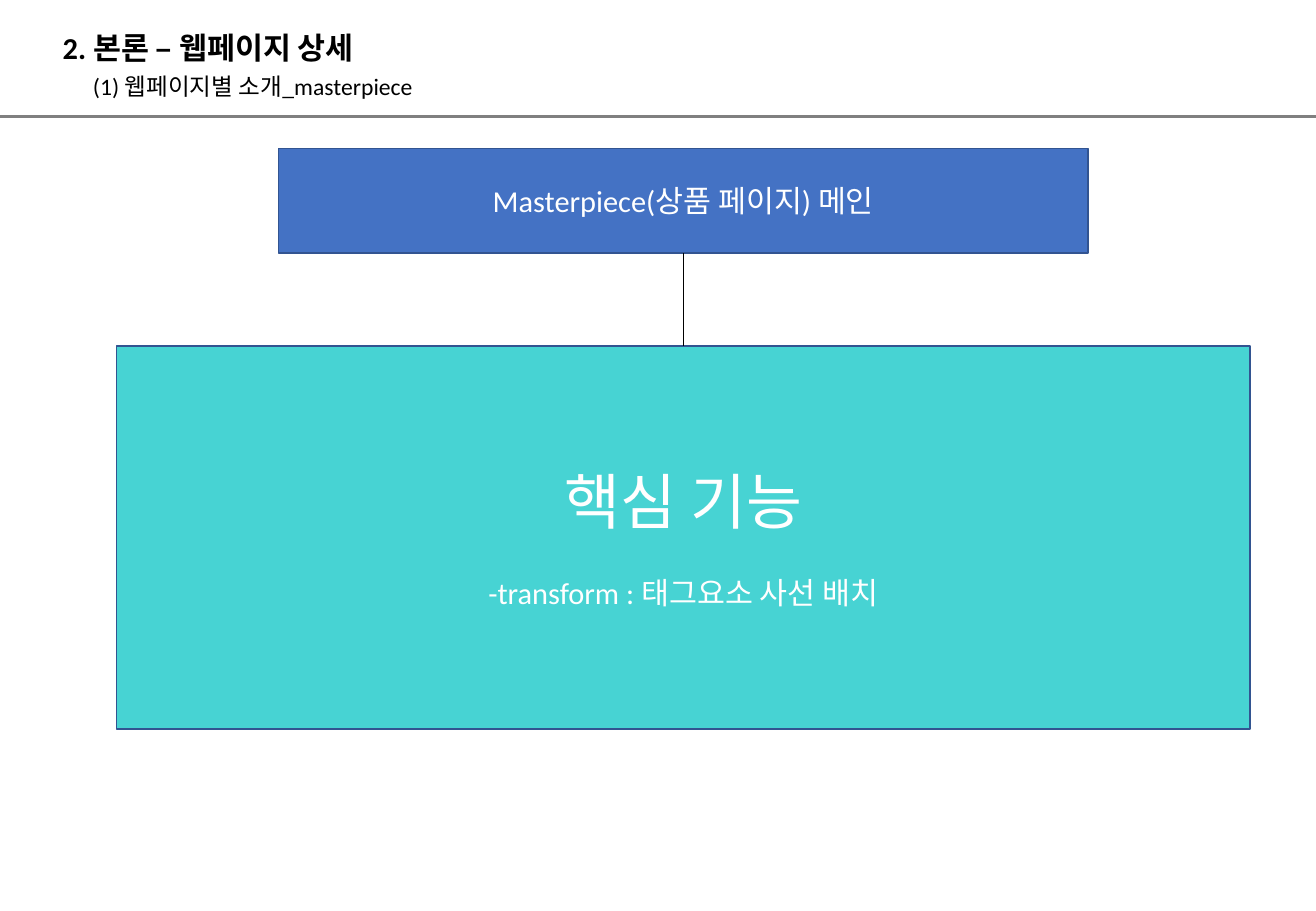
from dataclasses import dataclass

from lxml.etree import SubElement
from pptx import Presentation
from pptx.dml.color import RGBColor
from pptx.enum.shapes import MSO_CONNECTOR, MSO_SHAPE
from pptx.enum.text import MSO_ANCHOR, MSO_AUTO_SIZE, PP_ALIGN
from pptx.oxml.ns import qn
from pptx.shapes.autoshape import Shape
from pptx.shapes.connector import Connector
from pptx.slide import Slide
from pptx.util import Pt

FONT = "Calibri"
BLACK = "000000"
WHITE = "FFFFFF"
GRAY = "808080"
OUTLINE = "325491"


@dataclass(frozen=True)
class TextLine:
    """One paragraph of text with its size and the gap above it."""
    text: str
    size: float
    bold: bool = False
    space_before: float = 0


@dataclass(frozen=True)
class Area:
    """A rectangle on the slide, in points."""
    left: float
    top: float
    width: float
    height: float


@dataclass(frozen=True)
class Block:
    """A filled rectangle with centred lines of text."""
    area: Area
    fill: str
    lines: tuple[TextLine, ...]


SLIDE_WIDTH, SLIDE_HEIGHT = 780, 540
RULE_TOP = 69
HEADING = TextLine("2. 본론 – 웹페이지 상세", 18, bold=True)
HEADING_AREA = Area(30, 4.3, 217, 37)
SUBHEADING = TextLine("(1) 웹페이지별 소개_masterpiece", 14)
SUBHEADING_AREA = Area(48, 31.7, 235, 30)
PAGE_BLOCK = Block(Area(165, 88, 480, 62), "4472C4",
                   (TextLine("Masterpiece(상품 페이지) 메인", 18),))
FEATURE_BLOCK = Block(Area(69, 205, 672, 227), "47D3D3",
                      (TextLine("핵심 기능", 36),
                       TextLine("-transform : 태그요소 사선 배치", 18, space_before=22)))


def color(value: str) -> RGBColor:
    """Turn a hex string into a colour."""
    return RGBColor.from_string(value)


def place(shape: Shape, area: Area) -> None:
    """Move and size a shape."""
    shape.left, shape.top = Pt(area.left), Pt(area.top)
    shape.width, shape.height = Pt(area.width), Pt(area.height)


def write_lines(shape: Shape, lines: tuple[TextLine, ...], font_color: str,
                alignment: PP_ALIGN, line_spacing: float = 1.0) -> None:
    """Write formatted paragraphs into a shape."""
    frame = shape.text_frame
    frame.word_wrap = True
    frame.auto_size = MSO_AUTO_SIZE.NONE
    frame.vertical_anchor = MSO_ANCHOR.MIDDLE
    for index, line in enumerate(lines):
        paragraph = frame.add_paragraph() if index else frame.paragraphs[0]
        paragraph.alignment = alignment
        paragraph.line_spacing = line_spacing
        paragraph.space_before = Pt(line.space_before)
        run = paragraph.add_run()
        run.text = line.text
        run.font.name = FONT
        run.font.size = Pt(line.size)
        run.font.bold = line.bold
        run.font.color.rgb = color(font_color)


def write_heading(shape: Shape, area: Area, line: TextLine) -> None:
    """Place a heading and write its text."""
    place(shape, area)
    write_lines(shape, (line,), BLACK, PP_ALIGN.LEFT, 1.5)


def add_block(slide: Slide, block: Block) -> Shape:
    """Draw a filled rectangle with its text."""
    shape = slide.shapes.add_shape(MSO_SHAPE.RECTANGLE, 0, 0, 0, 0)
    place(shape, block.area)
    shape.shadow.inherit = False
    shape.fill.solid()
    shape.fill.fore_color.rgb = color(block.fill)
    shape.line.color.rgb = color(OUTLINE)
    shape.line.width = Pt(1)
    write_lines(shape, block.lines, WHITE, PP_ALIGN.CENTER)
    return shape


def add_line(slide: Slide, line_color: str, width: float) -> Connector:
    """Draw a straight line across the slide under the heading."""
    connector = slide.shapes.add_connector(
        MSO_CONNECTOR.STRAIGHT, Pt(0), Pt(RULE_TOP), Pt(SLIDE_WIDTH), Pt(RULE_TOP))
    connector.line.color.rgb = color(line_color)
    connector.line.width = Pt(width)
    SubElement(connector._element.spPr, qn("a:effectLst"))
    return connector


def main() -> None:
    """Build and save the slide."""
    presentation = Presentation()
    presentation.slide_width = Pt(SLIDE_WIDTH)
    presentation.slide_height = Pt(SLIDE_HEIGHT)
    slide = presentation.slides.add_slide(presentation.slide_layouts[5])
    add_line(slide, GRAY, 2.25)
    write_heading(slide.shapes.title, HEADING_AREA, HEADING)
    write_heading(slide.shapes.add_textbox(0, 0, 0, 0), SUBHEADING_AREA, SUBHEADING)
    page = add_block(slide, PAGE_BLOCK)
    feature = add_block(slide, FEATURE_BLOCK)
    link = add_line(slide, BLACK, 0.75)
    link.begin_connect(page, 2)
    link.end_connect(feature, 0)
    presentation.save("out.pptx")


if __name__ == "__main__":
    main()
